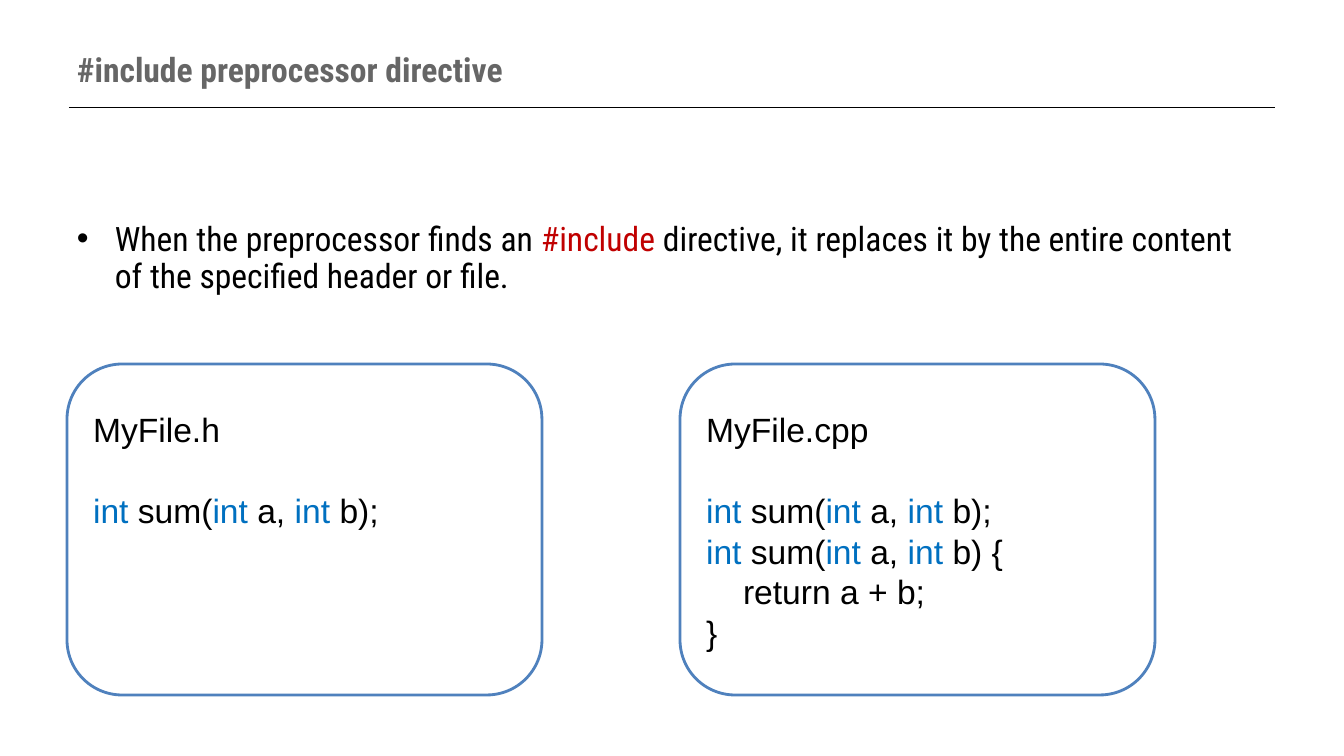
from dataclasses import dataclass

from lxml import etree
from pptx import Presentation
from pptx.dml.color import RGBColor
from pptx.enum.shapes import MSO_CONNECTOR, MSO_SHAPE
from pptx.enum.text import MSO_ANCHOR as Anchor, PP_ALIGN as Align
from pptx.oxml.ns import qn
from pptx.util import Emu, Pt

BLACK = RGBColor(0x00, 0x00, 0x00)
WHITE = RGBColor(0xFF, 0xFF, 0xFF)
GRAY = RGBColor(0x66, 0x66, 0x66)
RED = RGBColor(0xC0, 0x00, 0x00)
KEYWORD_BLUE = RGBColor(0x00, 0x70, 0xC0)
BORDER_BLUE = RGBColor(0x4F, 0x81, 0xBD)

HEAD_FONT = "Roboto Condensed"
CODE_FONT = "Arial"
TEXT_SIZE = Pt(24)
CODE_PITCH = Pt(28.9)
BODY_PITCH = Pt(26.4)
PX_PER_INCH = 100.8
LEFT = 67


@dataclass(frozen=True)
class Span:
    text: str
    color: RGBColor = BLACK


@dataclass(frozen=True)
class CodeLine:
    spans: list[Span]
    indent: int = 0
    gap_after: bool = False


@dataclass(frozen=True)
class CodeBox:
    left: int
    lines: list[CodeLine]


def px(n: int) -> Emu:
    return Emu(round(n * 914400 / PX_PER_INCH))


def signature(end: str) -> CodeLine:
    """The sum function's signature, with its keywords coloured."""
    return CodeLine([
        Span("int ", KEYWORD_BLUE), Span("sum("), Span("int", KEYWORD_BLUE),
        Span(" a, "), Span("int ", KEYWORD_BLUE), Span(end),
    ])


def file_name(name: str) -> CodeLine:
    return CodeLine([Span(name)], gap_after=True)


CODE_BOXES = [
    CodeBox(LEFT, [file_name("MyFile.h"), signature("b);")]),
    CodeBox(680, [
        file_name("MyFile.cpp"),
        signature("b);"),
        signature("b) {"),
        CodeLine([Span("return a + b;")], indent=37),
        CodeLine([Span("}")]),
    ]),
]


def add_spans(p, spans: list[Span], font: str, bold: bool = False) -> None:
    p.alignment = Align.LEFT
    for span in spans:
        r = p.add_run()
        r.text = span.text
        r.font.name = font
        r.font.size = TEXT_SIZE
        r.font.bold = bold
        r.font.color.rgb = span.color


def set_indent(p, margin: int, first: int = 0) -> None:
    pPr = p._p.get_or_add_pPr()
    pPr.set("marL", str(px(margin)))
    pPr.set("indent", str(px(first)))


def add_text(slide, top: int, height: int, anchor: Anchor):
    sp = slide.shapes.add_textbox(px(LEFT), px(top), px(1210), px(height))
    tf = sp.text_frame
    tf.word_wrap = True
    tf.vertical_anchor = anchor
    return tf


def add_title(slide) -> None:
    tf = add_text(slide, 30, 78, Anchor.MIDDLE)
    add_spans(tf.paragraphs[0], [Span("#include preprocessor directive", GRAY)],
              HEAD_FONT, bold=True)


def add_rule(slide) -> None:
    line = slide.shapes.add_connector(
        MSO_CONNECTOR.STRAIGHT, px(69), px(108), px(1275), px(108))
    line.line.color.rgb = BLACK
    line.line.width = Pt(0.75)
    etree.SubElement(line._element.spPr, qn("a:effectLst"))


def add_body(slide) -> None:
    tf = add_text(slide, 176, 499, Anchor.TOP)
    tf.margin_top = px(45)
    p = tf.paragraphs[0]
    add_spans(p, [
        Span("When the preprocessor finds an "),
        Span("#include", RED),
        Span(" directive, it replaces it by the entire content "
             "of the specified header or file."),
    ], HEAD_FONT)
    p.line_spacing = BODY_PITCH
    set_indent(p, 38, -38)
    pPr = p._p.get_or_add_pPr()
    etree.SubElement(pPr, qn("a:buFont"), typeface="Arial")
    etree.SubElement(pPr, qn("a:buChar"), char="•")


def add_code_box(slide, box: CodeBox) -> None:
    sp = slide.shapes.add_shape(
        MSO_SHAPE.ROUNDED_RECTANGLE, px(box.left), px(364), px(475), px(331))
    sp.shadow.inherit = False
    sp.fill.solid()
    sp.fill.fore_color.rgb = WHITE
    sp.line.color.rgb = BORDER_BLUE
    sp.line.width = Pt(2)
    tf = sp.text_frame
    tf.word_wrap = True
    tf.vertical_anchor = Anchor.TOP
    tf.margin_top = px(29)
    for i, line in enumerate(box.lines):
        p = tf.add_paragraph() if i else tf.paragraphs[0]
        add_spans(p, line.spans, CODE_FONT)
        p.line_spacing = CODE_PITCH
        p.space_after = CODE_PITCH if line.gap_after else Pt(0)
        set_indent(p, line.indent)


def main() -> None:
    prs = Presentation()
    prs.slide_width, prs.slide_height = px(1344), px(756)
    slide = prs.slides.add_slide(prs.slide_layouts[6])

    # Heading
    add_rule(slide)
    add_title(slide)

    # Explanation
    add_body(slide)

    # Header and source file
    for box in CODE_BOXES:
        add_code_box(slide, box)

    prs.save("out.pptx")


if __name__ == "__main__":
    main()
